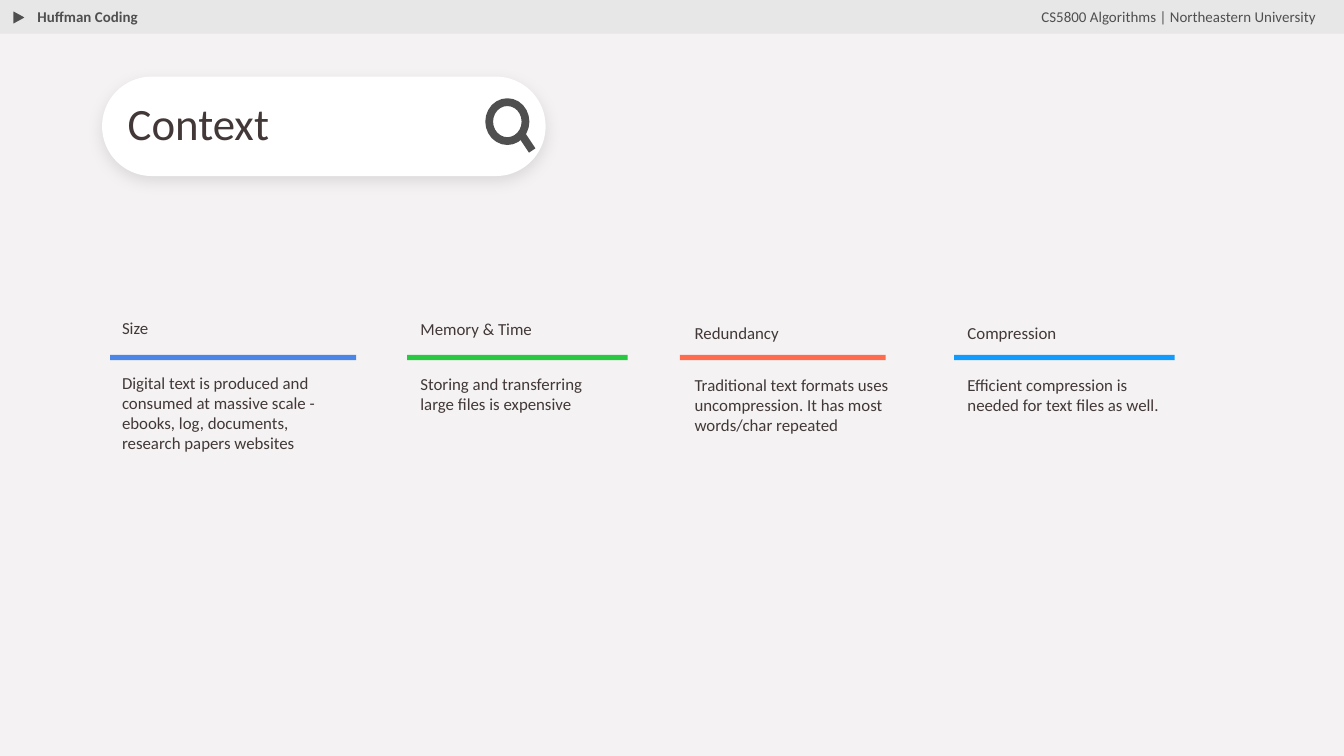
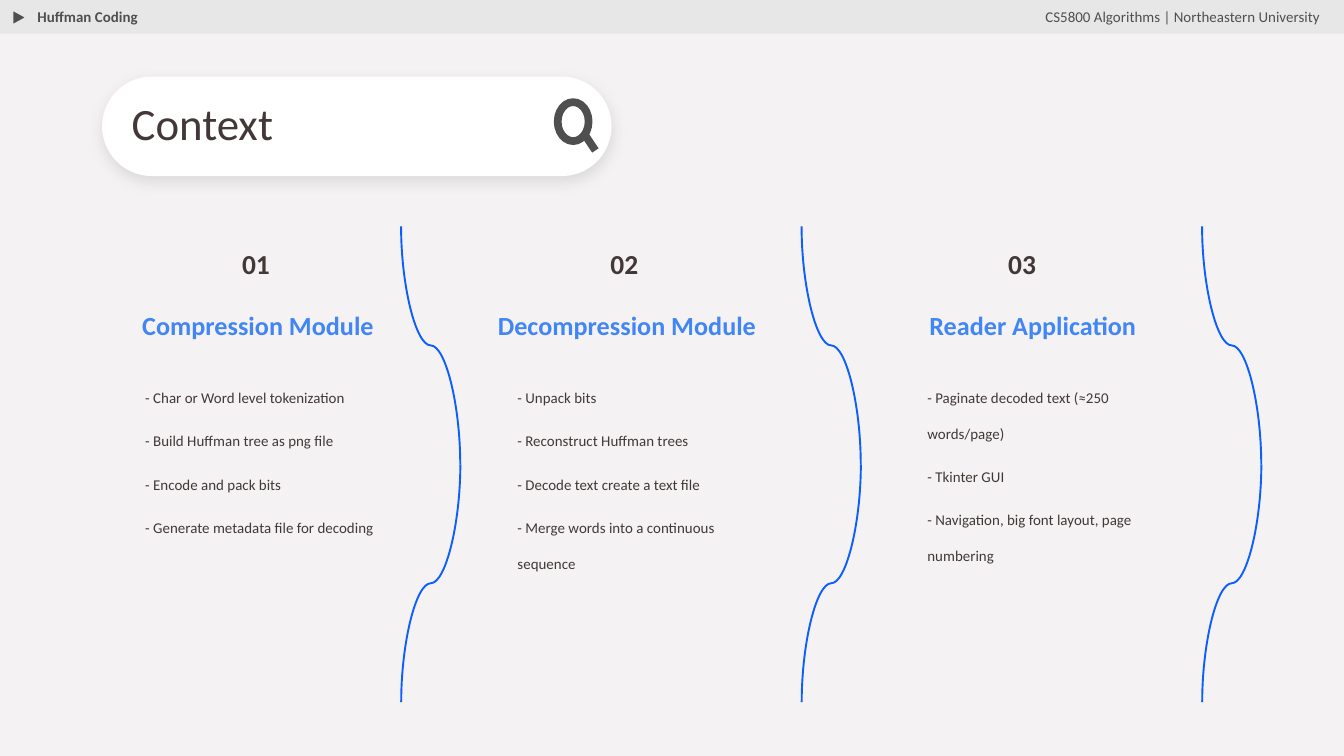
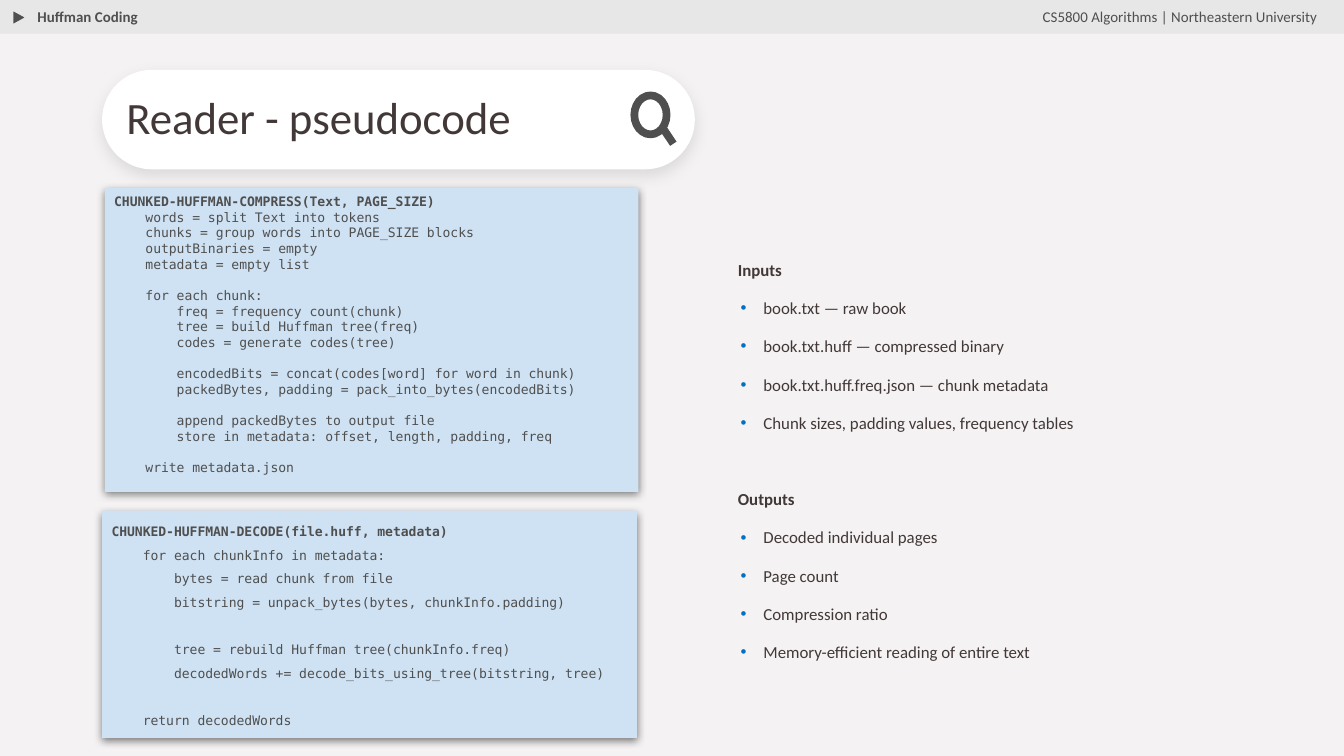
from typing import NamedTuple, Optional

from lxml import etree
from pptx import Presentation, util as u
from pptx.dml.color import RGBColor
from pptx.enum import shapes, text
from pptx.oxml.ns import qn

# Grid: 100 columns across the slide, square cells
COLS, ROWS = 100, 56.25
CELL = u.Inches(0.1)
HUES = {
    "page": "F4F2F2", "band": "E7E7E7", "gray": "4F4F4F", "ink": "423838",
    "white": "FFFFFF", "code": "CFE2F3", "head": "4285F4", "curve": "0D5EFF",
    "dot": "0070C0", "blue": "4A86E8", "green": "28C840", "coral": "FF6B4D",
    "sky": "119BFE", "black": "000000",
}
SHAPE, LINK = shapes.MSO_SHAPE, shapes.MSO_CONNECTOR
MID, TOP = text.MSO_ANCHOR.MIDDLE, text.MSO_ANCHOR.TOP
LEFT, MIDDLE = text.PP_ALIGN.LEFT, text.PP_ALIGN.CENTER


class Box(NamedTuple):
    x: float
    y: float
    w: float
    h: float


class Style(NamedTuple):
    size: float
    hue: str = "ink"
    bold: bool = False
    face: str = "Calibri"
    align: int = LEFT
    lead: float = 1.0


class Par(NamedTuple):
    words: str
    style: Style
    before: float = 0
    dot: bool = False


class Shade(NamedTuple):
    alpha: int
    blur: float
    dist: float


class Topic(NamedTuple):
    name: str
    body: str
    hue: str
    box: Box
    bar: tuple
    lead: float
    gap: float


class Module(NamedTuple):
    num: str
    name: str
    num_x: float
    head: tuple
    list_x: float
    items: tuple


SOFT, DEEP = Shade(10, 8.3, 2.8), Shade(50, 4.5, 1.5)
TITLE = Style(24, lead=0.9)
NOTE = Style(9)
STEP = Style(8, lead=2)
ITEM = Style(9, lead=1.15)
MONO = "DejaVu Sans Mono"

TOPICS = (
    Topic("Size", "Digital text is produced and consumed at massive scale - ebooks, "
          "log, documents, research papers websites", "blue",
          Box(8.1, 22.4, 18.3, 13), (8.2, 18.3), 1.15, 18.6),
    Topic("Memory & Time", "Storing and transferring large files is expensive", "green",
          Box(30.3, 22.5, 16.4, 13), (30.3, 16.4), 1.15, 18.6),
    Topic("Redundancy", "Traditional text formats uses uncompression. It has most "
          "words/char repeated", "coral", Box(50.7, 23, 16.4, 13), (50.6, 15.3), 1, 17),
    Topic("Compression", "Efficient compression is needed for text files as well.", "sky",
          Box(71, 23, 17.5, 13), (71, 16.4), 1, 17),
)
MODULES = (
    Module("01", "Compression Module", 15.3, (7.6, 23.2), 9.4,
           ("- Char or Word level tokenization", "- Build Huffman tree as png file",
            "- Encode and pack bits", "- Generate metadata file for decoding")),
    Module("02", "Decompression Module", 42.7, (34.2, 24.9), 37.1,
           ("- Unpack bits", "- Reconstruct Huffman trees",
            "- Decode text create a text file", "- Merge words into a continuous sequence")),
    Module("03", "Reader Application", 72.3, (64, 25.7), 67.6,
           ("- Paginate decoded text (≈250 words/page)", "- Tkinter GUI",
            "- Navigation, big font layout, page numbering")),
)
PACK = """CHUNKED-HUFFMAN-COMPRESS(Text, PAGE_SIZE)
    words = split Text into tokens
    chunks = group words into PAGE_SIZE blocks
    outputBinaries = empty
    metadata = empty list

    for each chunk:
        freq = frequency count(chunk)
        tree = build Huffman tree(freq)
        codes = generate codes(tree)

        encodedBits = concat(codes[word] for word in chunk)
        packedBytes, padding = pack_into_bytes(encodedBits)

        append packedBytes to output file
        store in metadata: offset, length, padding, freq

    write metadata.json"""
UNPACK = """CHUNKED-HUFFMAN-DECODE(file.huff, metadata)
    for each chunkInfo in metadata:
        bytes = read chunk from file
        bitstring = unpack_bytes(bytes, chunkInfo.padding)

        tree = rebuild Huffman tree(chunkInfo.freq)
        decodedWords += decode_bits_using_tree(bitstring, tree)

    return decodedWords"""
FLOWS = {
    "Inputs": ("book.txt — raw book", "book.txt.huff — compressed binary",
               "book.txt.huff.freq.json — chunk metadata",
               "Chunk sizes, padding values, frequency tables"),
    "Outputs": ("Decoded individual pages", "Page count", "Compression ratio",
                "Memory-efficient reading of entire text"),
}


def rgb(hue: str) -> RGBColor:
    return RGBColor.from_string(HUES[hue])


def cells(*nums: float) -> list:
    return [round(n * CELL) for n in nums]


def sub(node, tag: str, **attrs):
    return etree.SubElement(node, qn(tag), {k: str(v) for k, v in attrs.items()})


# Text
def bullet(par, dot: bool) -> None:
    props = par._p.get_or_add_pPr()
    props.set("marL", str(u.Inches(0.19) if dot else 0))
    props.set("indent", str(-u.Inches(0.17) if dot else 0))
    if dot:
        sub(sub(props, "a:buClr"), "a:srgbClr", val=HUES["dot"])
        sub(props, "a:buChar", char="•")
    else:
        sub(props, "a:buNone")


def write(frame, pars: list, pad: tuple = (0, 0), anchor=TOP) -> None:
    frame.word_wrap = True
    frame.auto_size = text.MSO_AUTO_SIZE.NONE
    frame.vertical_anchor = anchor
    frame.margin_left = frame.margin_right = u.Inches(pad[0])
    frame.margin_top = frame.margin_bottom = u.Inches(pad[1])
    for i, item in enumerate(pars):
        par = frame.add_paragraph() if i else frame.paragraphs[0]
        style = item.style
        par.text = item.words
        par.alignment, par.line_spacing = style.align, style.lead
        par.space_before, par.space_after = u.Pt(item.before), u.Pt(0)
        bullet(par, item.dot)
        font = par.font
        font.name, font.size, font.bold = style.face, u.Pt(style.size), style.bold
        font.color.rgb = rgb(style.hue)


def label(slide, box: Box, pars: list, pad: tuple = (0, 0), anchor=TOP) -> None:
    write(slide.shapes.add_textbox(*cells(*box)).text_frame, pars, pad, anchor)


# Shapes
def draw(slide, kind, box: Box, fill: str, line: Optional[str] = None,
         width: float = 0.75, shade: Optional[Shade] = None):
    shape = slide.shapes.add_shape(kind, *cells(*box))
    shape.shadow.inherit = False
    shape.fill.solid()
    shape.fill.fore_color.rgb = rgb(fill)
    if line:
        shape.line.color.rgb, shape.line.width = rgb(line), u.Pt(width)
    else:
        shape.line.fill.background()
    if shade:
        glow = sub(shape._element.spPr.find(qn("a:effectLst")), "a:outerShdw",
                   blurRad=u.Pt(shade.blur), dist=u.Pt(shade.dist),
                   dir=90 * 60000, algn="t", rotWithShape=0)
        hue = sub(glow, "a:srgbClr", val=HUES["black"])
        sub(hue, "a:alpha", val=shade.alpha * 1000)
    return shape


def link(slide, kind, ends: tuple, hue: str, width: float):
    line = slide.shapes.add_connector(kind, *cells(*ends))
    line.line.color.rgb, line.line.width = rgb(hue), u.Pt(width)
    sub(line._element.spPr, "a:effectLst")
    return line


def code(slide, box: Box, lines: str, lead: float) -> None:
    """Blank lines of code become space before the next line."""
    pars, gap = [], 0.0
    for row in lines.split("\n"):
        if row:
            pars.append(Par(row, Style(7, "gray", not pars, MONO, lead=lead), gap))
        gap = 0 if row else 8.4 * lead
    panel = draw(slide, SHAPE.RECTANGLE, box, "code", shade=DEEP)
    write(panel.text_frame, pars, (0.07, 0.04))


# Shared frame: top band and search-bar title
def start(deck, layout: int, title: str, pill: Box, lens: tuple,
          title_x: float, course_x: float):
    slide = deck.slides.add_slide(deck.slide_layouts[layout])
    draw(slide, SHAPE.RECTANGLE, Box(-0.1, 0, COLS + 0.1, 2.5), "band")
    mark = draw(slide, SHAPE.ISOSCELES_TRIANGLE, Box(0.9, 0.8, 1.1, 1), "gray", "band")
    mark.rotation = 90
    label(slide, Box(1.8, -0.4, 12.8, 4.7),
          [Par("Huffman Coding", Style(8, "gray", True))], (0.1, 0.1))
    label(slide, Box(course_x, -0.4, 99.4 - course_x, 4.7),
          [Par("CS5800 Algorithms | Northeastern University", Style(8, "gray"))], (0.1, 0.1))

    bar = draw(slide, SHAPE.ROUNDED_RECTANGLE, pill, "white", shade=SOFT)
    bar.adjustments[0] = 0.5
    left, wide = lens
    draw(slide, SHAPE.OVAL, Box(left, pill.y + 1.9, wide, 2.9), "white", "gray", 4.15)
    grip = left + wide - 0.3
    link(slide, LINK.STRAIGHT, (grip, pill.y + 4.3, grip + 0.8, pill.y + 5.5), "gray", 4.15)

    name = slide.shapes.title
    name.left, name.top, name.width, name.height = cells(
        title_x, pill.y, left - title_x - 1, pill.h)
    write(name.text_frame, [Par(title, TITLE)], anchor=MID)
    slide.shapes._spTree.append(name._element)
    return slide


def context(deck) -> None:
    slide = start(deck, 5, "Context", Box(7.6, 5.7, 33, 7.4), (36.4, 2.7), 9.5, 76.5)
    for topic in TOPICS:
        label(slide, topic.box, [Par(topic.name, NOTE._replace(lead=topic.lead)),
                                 Par(topic.body, NOTE, topic.gap)], (0.1, 0.1))
        left, wide = topic.bar
        draw(slide, SHAPE.RECTANGLE, Box(left, 26.4, wide, 0.4), topic.hue)


def modules(deck) -> None:
    slide = start(deck, 5, "Context", Box(7.6, 5.7, 37.9, 7.4), (41.5, 2.3), 9.8, 76.8)
    for i, part in enumerate(MODULES):
        label(slide, Box(part.num_x, 15.5, 7.5, 8.2),
              [Par(part.num, Style(14.7, bold=True, align=MIDDLE))], anchor=MID)
        left, wide = part.head
        label(slide, Box(left, 21, wide, 6.7),
              [Par(part.name, Style(14, "head", True, align=MIDDLE, lead=0.9))], anchor=MID)
        label(slide, Box(part.list_x, 27.6, 21.9, 18),
              [Par(item, STEP, 4 if n else 0) for n, item in enumerate(part.items)], (0.14, 0))
        # Two mirrored curves form a bracket, turned upright
        mid = 32.05 + 29.8 * i
        for y, side in ((25.7, -1), (43.4, 1)):
            half = 8.85 * side
            curve = link(slide, LINK.CURVE, (mid - half, y - 2.2, mid + half, y + 2.2),
                         "curve", 1.02)
            curve.rotation = 90


def reader(deck) -> None:
    slide = start(deck, 1, "Reader - pseudocode", Box(7.6, 5.2, 44.1, 7.4),
                  (47.2, 2.4), 9.4, 76.6)
    code(slide, Box(7.8, 14, 39.7, 22.6), PACK, 1)
    code(slide, Box(7.6, 38, 39.8, 16.9), UNPACK, 1.5)
    pars = []
    for head, items in FLOWS.items():
        pars.append(Par(head, ITEM._replace(bold=True), 28.6 if pars else 0))
        pars += [Par(item, ITEM, 8, True) for item in items]
    body = slide.placeholders[1]
    body.left, body.top, body.width, body.height = cells(54.2, 18.7, 28.7, 29.9)
    write(body.text_frame, pars, (0.07, 0.04))


def main() -> None:
    deck = Presentation()
    deck.slide_width, deck.slide_height = cells(COLS, ROWS)
    page = deck.slide_master.background.fill
    page.solid()
    page.fore_color.rgb = rgb("page")
    for build in (context, modules, reader):
        build(deck)
    deck.save("out.pptx")


if __name__ == "__main__":
    main()
